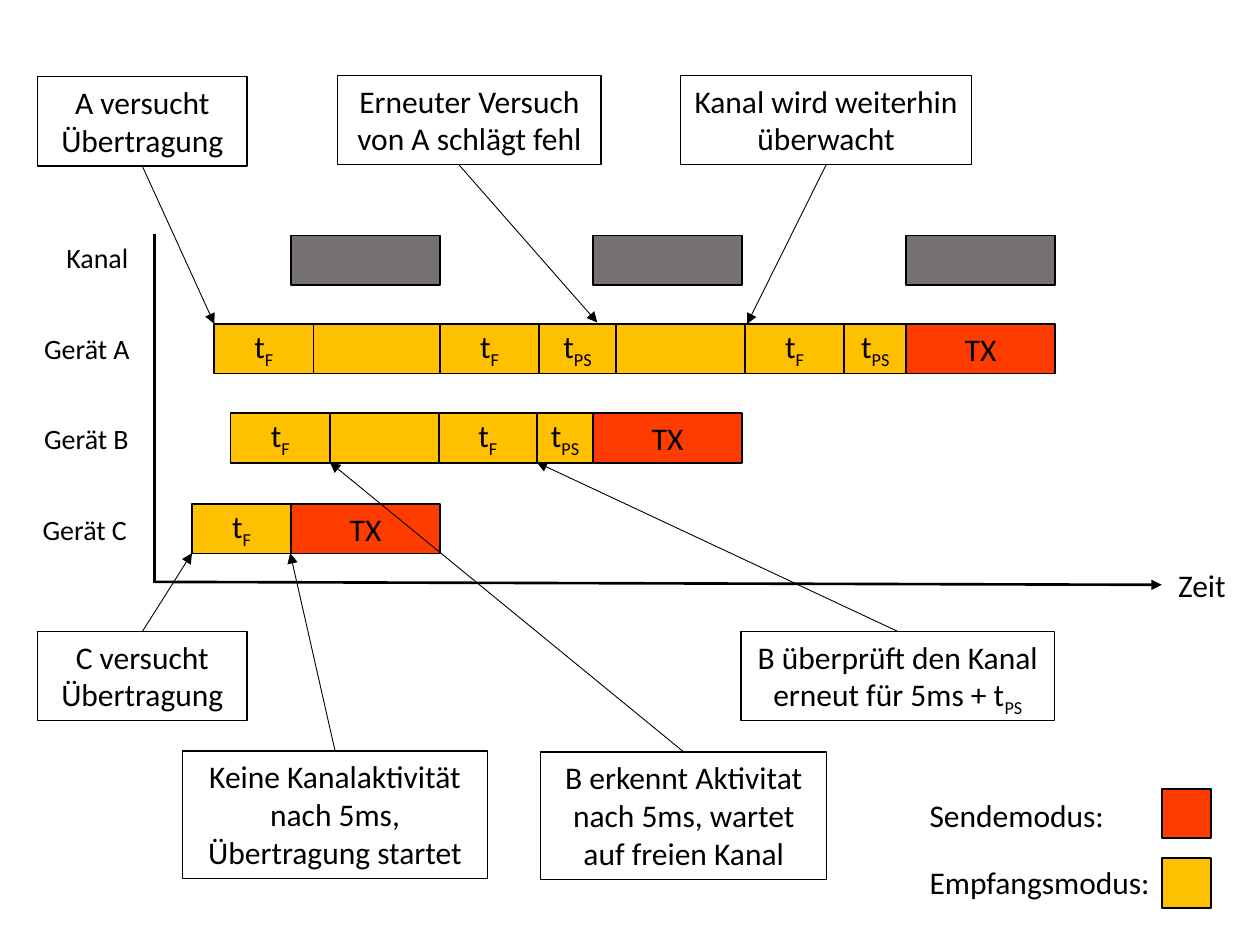
from dataclasses import dataclass
from typing import Optional

from lxml.etree import SubElement
from pptx import Presentation
from pptx.dml.color import RGBColor
from pptx.enum.shapes import MSO_CONNECTOR, MSO_SHAPE
from pptx.enum.text import MSO_ANCHOR, MSO_AUTO_SIZE, PP_ALIGN
from pptx.oxml.ns import qn
from pptx.util import Cm, Pt

BLACK, GRAY, RED, YELLOW = "000000", "767171", "FF3C00", "FFC000"
BAR_H, TX_W, TF_W = 1.0, 3.0, 2.0


@dataclass
class Row:
    label: str
    label_x: float
    label_w: float
    y: float


@dataclass
class DeviceRow(Row):
    x: float
    cells: list[tuple[str, float]]


@dataclass
class Callout:
    text: str
    x: float
    y: float
    w: float
    h: float
    tip: tuple[float, float]
    start_x: Optional[float] = None


CHANNEL = Row("Kanal", 1.09, 1.78, 4.75)
BUSY_X = [5.87, 11.96, 18.27]
DEVICES = [
    DeviceRow("Gerät A", 0.64, 2.26, 6.53, 4.32, [
        ("t_F", TF_W), ("", 2.55), ("t_F", TF_W), ("t_PS", 1.55),
        ("", 2.6), ("t_F", TF_W), ("t_PS", 1.25), ("TX", TX_W)]),
    DeviceRow("Gerät B", 0.64, 2.24, 8.33, 4.65, [
        ("t_F", TF_W), ("", 2.2), ("t_F", 1.97), ("t_PS", 1.14), ("TX", TX_W)]),
    DeviceRow("Gerät C", 0.61, 2.24, 10.16, 3.87, [("t_F", TF_W), ("TX", TX_W)]),
]
CALLOUTS = [
    Callout("A versucht Übertragung", 0.76, 1.55, 4.22, 1.8, (4.32, 6.53)),
    Callout("Erneuter Versuch von A schlägt fehl", 6.81, 1.52, 5.31, 1.8, (12.04, 6.5), 9.25),
    Callout("Kanal wird weiterhin überwacht", 13.72, 1.52, 5.87, 1.8, (15.06, 6.53)),
    Callout("C versucht Übertragung", 0.76, 12.73, 4.22, 1.8, (3.87, 11.15)),
    Callout("Keine Kanalaktivität nach 5ms, Übertragung startet",
            3.68, 15.14, 6.15, 2.57, (5.85, 11.15)),
    Callout("B erkennt Aktivitat nach 5ms, wartet auf freien Kanal",
            10.9, 15.16, 5.77, 2.57, (6.65, 9.32)),
    Callout("B überprüft den Kanal erneut für 5ms + t_PS",
            14.94, 12.73, 6.32, 1.8, (10.82, 9.32)),
]
LEGEND = [("Sendemodus:", 4.06, 15.92, 15.9, RED), ("Empfangsmodus:", 5.0, 17.27, 17.3, YELLOW)]

prs = Presentation()
prs.slide_width, prs.slide_height = Cm(25.4), Cm(19.05)
s = prs.slides.add_slide(prs.slide_layouts[6])


def rgb(color: str) -> RGBColor:
    return RGBColor.from_string(color)


def write(sp, text: str, *, size: float = 18, align=PP_ALIGN.CENTER,
          anchor=MSO_ANCHOR.MIDDLE, wrap: bool = True, grow: bool = False) -> None:
    tf = sp.text_frame
    tf.word_wrap = wrap
    tf.vertical_anchor = anchor
    if grow:
        tf.auto_size = MSO_AUTO_SIZE.SHAPE_TO_FIT_TEXT
    p = tf.paragraphs[0]
    p.alignment = align
    for i, part in enumerate(text.split("_")):
        r = p.add_run()
        r.text = part
        r.font.name, r.font.size = "Calibri", Pt(size)
        r.font.color.rgb = rgb(BLACK)
        if i:
            r.font._element.set("baseline", "-25000")


def add_box(x: float, y: float, w: float, h: float,
            fill: Optional[str] = None, line_w: float = 1):
    sp = s.shapes.add_shape(MSO_SHAPE.RECTANGLE, Cm(x), Cm(y), Cm(w), Cm(h))
    sp.shadow.inherit = False
    if fill:
        sp.fill.solid()
        sp.fill.fore_color.rgb = rgb(fill)
    else:
        sp.fill.background()
    sp.line.color.rgb = rgb(BLACK)
    sp.line.width = Pt(line_w)
    return sp


def add_label(text: str, x: float, y: float, w: float, h: float, size: float = 18) -> None:
    sp = s.shapes.add_textbox(Cm(x), Cm(y), Cm(w), Cm(h))
    write(sp, text, size=size, align=PP_ALIGN.LEFT, anchor=MSO_ANCHOR.TOP, wrap=False, grow=True)


def add_line(start: tuple[float, float], end: tuple[float, float],
             width: float, arrow: bool = True) -> None:
    c = s.shapes.add_connector(MSO_CONNECTOR.STRAIGHT, *map(Cm, start + end))
    c.line.color.rgb = rgb(BLACK)
    c.line.width = Pt(width)
    if arrow:
        SubElement(c.line._get_or_add_ln(), qn("a:tailEnd"), type="triangle")
    SubElement(c._element.spPr, qn("a:effectLst"))


def add_device(row: DeviceRow) -> None:
    x = row.x
    for text, w in row.cells:
        sp = add_box(x, row.y, w, BAR_H, RED if text == "TX" else YELLOW)
        if text:
            write(sp, text)
        x += w


def add_callout(c: Callout) -> None:
    sp = add_box(c.x, c.y, c.w, c.h, line_w=0.75)
    write(sp, c.text, anchor=MSO_ANCHOR.TOP, grow=True)
    start_x = c.start_x or c.x + c.w / 2
    start_y = c.y if c.tip[1] < c.y else c.y + c.h
    add_line((start_x, start_y), c.tip, 0.5)


add_line((3.12, 4.72), (3.12, 11.76), 1.5, arrow=False)
add_line((3.12, 11.73), (23.42, 11.79), 1.5)
add_label("Zeit", 23.5, 11.28, 1.47, 1.02)

for i, row in enumerate([CHANNEL, *DEVICES]):
    add_label(row.label, row.label_x, 4.72 + 1.83 * i, row.label_w, 0.94, size=16)
for x in BUSY_X:
    add_box(x, CHANNEL.y, TX_W, BAR_H, GRAY)
for device in DEVICES:
    add_device(device)
for callout in CALLOUTS:
    add_callout(callout)
for text, w, text_y, box_y, color in LEGEND:
    add_label(text, 18.49, text_y, w, 1.02)
    add_box(23.42, box_y, BAR_H, BAR_H, color)

prs.save("out.pptx")
